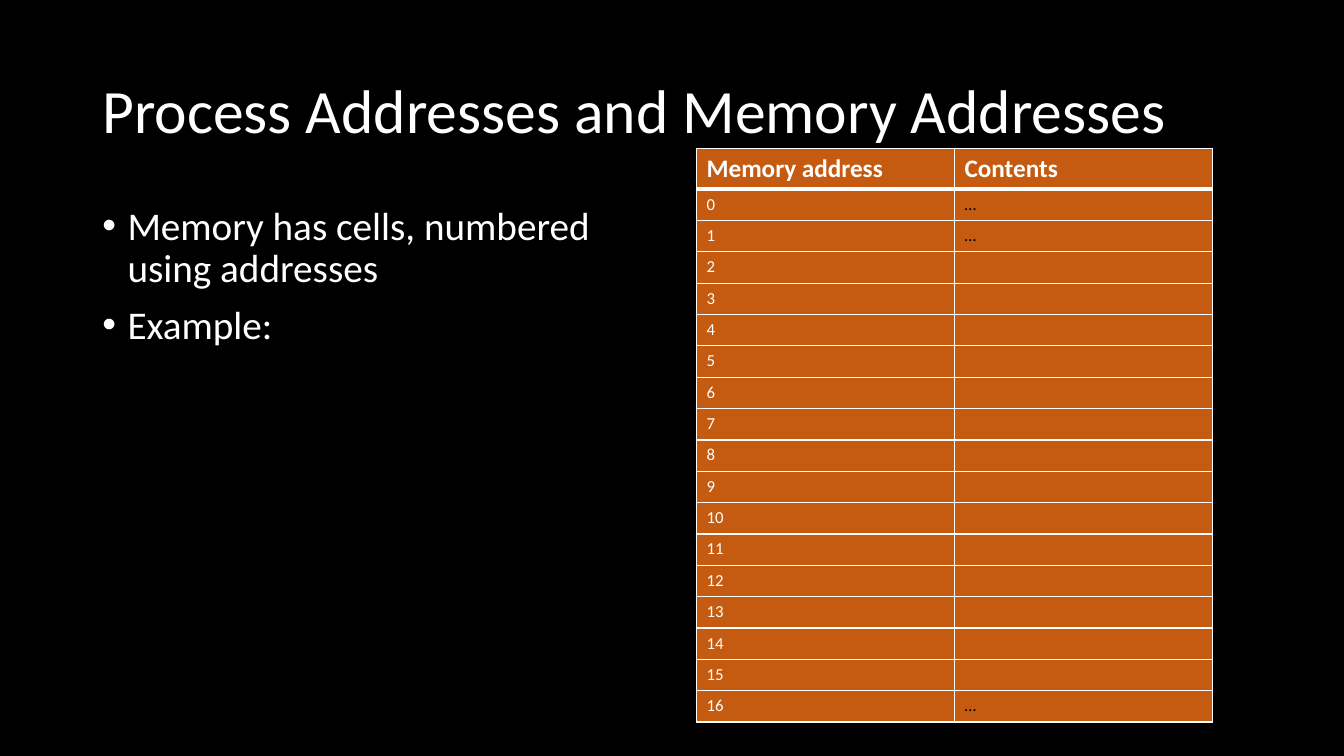
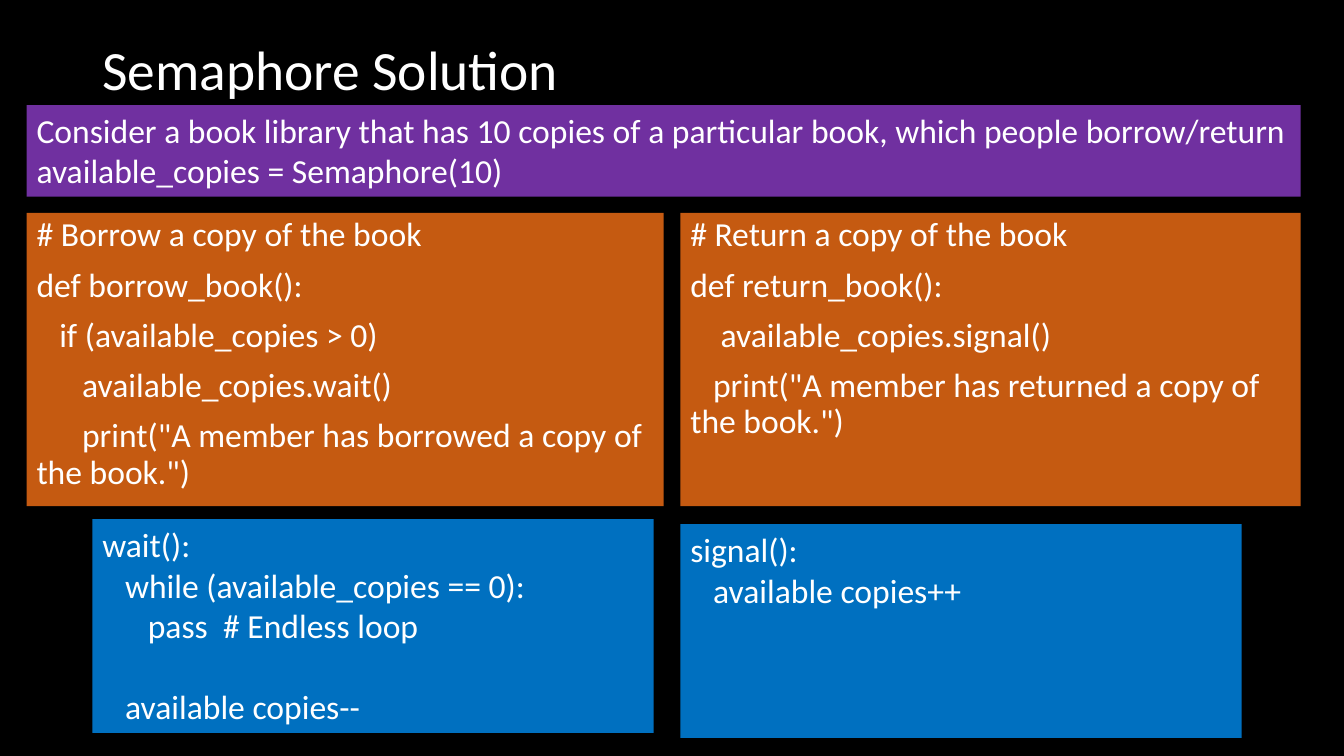
from dataclasses import dataclass

from lxml import etree
from pptx import Presentation
from pptx.dml.color import RGBColor
from pptx.enum import shapes, text
from pptx.oxml import ns
from pptx.util import Pt


@dataclass(frozen=True)
class Theme:
    font: str = "Calibri"
    black: str = "000000"
    white: str = "FFFFFF"
    orange: str = "C55A11"
    purple: str = "7030A0"
    blue: str = "0070C0"
    title: float = 44
    small_title: float = 39.6
    bullet: float = 28
    code: float = 24
    header: float = 18
    cell: float = 12
    tight: float = 0.9
    gap: float = 10


THEME = Theme()
TITLE_ONLY = 5
ELLIPSIS_ROWS = (0, 1, 16)
ADDRESS_COUNT = 17


def rgb(colour):
    return RGBColor.from_string(colour)


def in_points(box):
    return [Pt(length) for length in box]


def add_span(para, words, size, colour=THEME.white, bold=False):
    span = para.add_run()
    span.text = words
    span.font.name = THEME.font
    span.font.size = Pt(size)
    span.font.bold = bold
    span.font.color.rgb = rgb(colour)


def add_bullet(para, indent=18):
    properties = para._p.get_or_add_pPr()
    properties.set("marL", str(Pt(indent)))
    properties.set("indent", str(-Pt(indent)))
    etree.SubElement(properties, ns.qn("a:buFont")).set("typeface", "Arial")
    etree.SubElement(properties, ns.qn("a:buChar")).set("char", "•")


def write_lines(frame, lines, size, gap=0, spacing=1.0, bulleted=False):
    frame.word_wrap = True
    frame.vertical_anchor = text.MSO_ANCHOR.TOP
    for index, line in enumerate(lines):
        para = frame.add_paragraph() if index else frame.paragraphs[0]
        if bulleted:
            add_bullet(para)
        para.alignment = text.PP_ALIGN.LEFT
        para.line_spacing = spacing
        para.space_before = Pt(gap if index else 0)
        add_span(para, line, size)


def add_titled_page(deck, title, height, size):
    page = deck.slides.add_slide(deck.slide_layouts[TITLE_ONLY])
    holder = page.shapes.title
    holder.left, holder.top, holder.width, holder.height = in_points((66, 28.8, 828, height))
    frame = holder.text_frame
    frame.auto_size = text.MSO_AUTO_SIZE.NONE
    frame.vertical_anchor = text.MSO_ANCHOR.MIDDLE
    para = frame.paragraphs[0]
    para.alignment = text.PP_ALIGN.LEFT
    para.line_spacing = THEME.tight
    add_span(para, title, size)
    return page


def add_bullets(page, box, lines):
    frame = page.shapes.add_textbox(*in_points(box)).text_frame
    write_lines(frame, lines, THEME.bullet, THEME.gap, THEME.tight, bulleted=True)


def add_panel(page, box, colour, lines, **style):
    panel = page.shapes.add_shape(shapes.MSO_SHAPE.RECTANGLE, *in_points(box))
    panel.shadow.inherit = False
    panel.fill.solid()
    panel.fill.fore_color.rgb = rgb(colour)
    panel.line.fill.background()
    write_lines(panel.text_frame, lines, THEME.code, **style)
    return panel


def set_borders(cell, widths):
    properties = cell._tc.get_or_add_tcPr()
    for side, width in widths.items():
        line = etree.SubElement(properties, ns.qn(f"a:ln{side}"), w=str(Pt(width)))
        fill = etree.SubElement(line, ns.qn("a:solidFill"))
        etree.SubElement(fill, ns.qn("a:srgbClr"), val=THEME.white)


def fill_cell(cell, words, size, colour, is_header, below_header):
    thick = 3
    set_borders(cell, {"L": 1, "R": 1, "T": thick if below_header else 1,
                       "B": thick if is_header else 1})
    cell.fill.solid()
    cell.fill.fore_color.rgb = rgb(THEME.orange)
    para = cell.text_frame.paragraphs[0]
    if words:
        add_span(para, words, size, colour, bold=is_header)
    else:
        # An empty cell needs its own size, or its row grows to the default.
        etree.SubElement(para._p, ns.qn("a:endParaRPr"), sz=str(size * 100))


def add_memory_table(page, box):
    rows = [("Memory address", "Contents")]
    rows += [(str(address), "…" if address in ELLIPSIS_ROWS else "")
             for address in range(ADDRESS_COUNT)]
    table = page.shapes.add_table(len(rows), 2, *in_points(box)).table
    table.horz_banding = False
    header_height = 29.3
    row_height = (box[3] - header_height) / ADDRESS_COUNT
    for column in table.columns:
        column.width = Pt(box[2] / 2)
    for index, words in enumerate(rows):
        is_header = index == 0
        table.rows[index].height = Pt(header_height if is_header else row_height)
        size = THEME.header if is_header else THEME.cell
        for column, word in enumerate(words):
            colour = THEME.black if word == "…" else THEME.white
            fill_cell(table.cell(index, column), word, size, colour, is_header, index == 1)


def build_address_page(deck):
    page = add_titled_page(deck, "Process Addresses and Memory Addresses", 104.4, THEME.title)
    add_bullets(page, (66, 144, 408, 343),
                ["Memory has cells, numbered using addresses", "Example:"])
    add_memory_table(page, (497.5, 105.8, 368.6, 410.4))


def build_semaphore_page(deck):
    page = add_titled_page(deck, "Semaphore Solution", 46, THEME.small_title)
    left, middle, right = 19, 486, 929
    code_top, code_height = 152, 209.5
    loose = {"gap": THEME.gap, "spacing": THEME.tight}
    add_panel(page, (left, code_top, 455, code_height), THEME.orange, [
        "# Borrow a copy of the book",
        "def borrow_book():",
        "   if (available_copies > 0)",
        "      available_copies.wait()",
        '      print("A member has borrowed a copy of the book.")',
    ], **loose)
    add_panel(page, (middle, code_top, right - middle, code_height), THEME.orange, [
        "# Return a copy of the book",
        "def return_book():",
        "    available_copies.signal()",
        '   print("A member has returned a copy of the book.")',
    ], **loose)
    add_panel(page, (left, 75, right - left, 65.4), THEME.purple, [
        "Consider a book library that has 10 copies of a particular book, "
        "which people borrow/return",
        "available_copies = Semaphore(10)",
    ])
    wait_panel = add_panel(page, (66, 370.8, 401, 152.7), THEME.blue, [
        "wait():",
        "   while (available_copies == 0):",
        "      pass  # Endless loop",
        "   available copies--",
    ])
    wait_panel.text_frame.paragraphs[-1].space_before = Pt(29.3)
    add_panel(page, (middle, 374.4, 401, 152.7), THEME.blue,
              ["signal():", "   available copies++"])


def main():
    deck = Presentation()
    deck.slide_width, deck.slide_height = Pt(960), Pt(540)
    backdrop = deck.slide_master.background.fill
    backdrop.solid()
    backdrop.fore_color.rgb = rgb(THEME.black)
    build_address_page(deck)
    build_semaphore_page(deck)
    deck.save("out.pptx")


if __name__ == "__main__":
    main()
